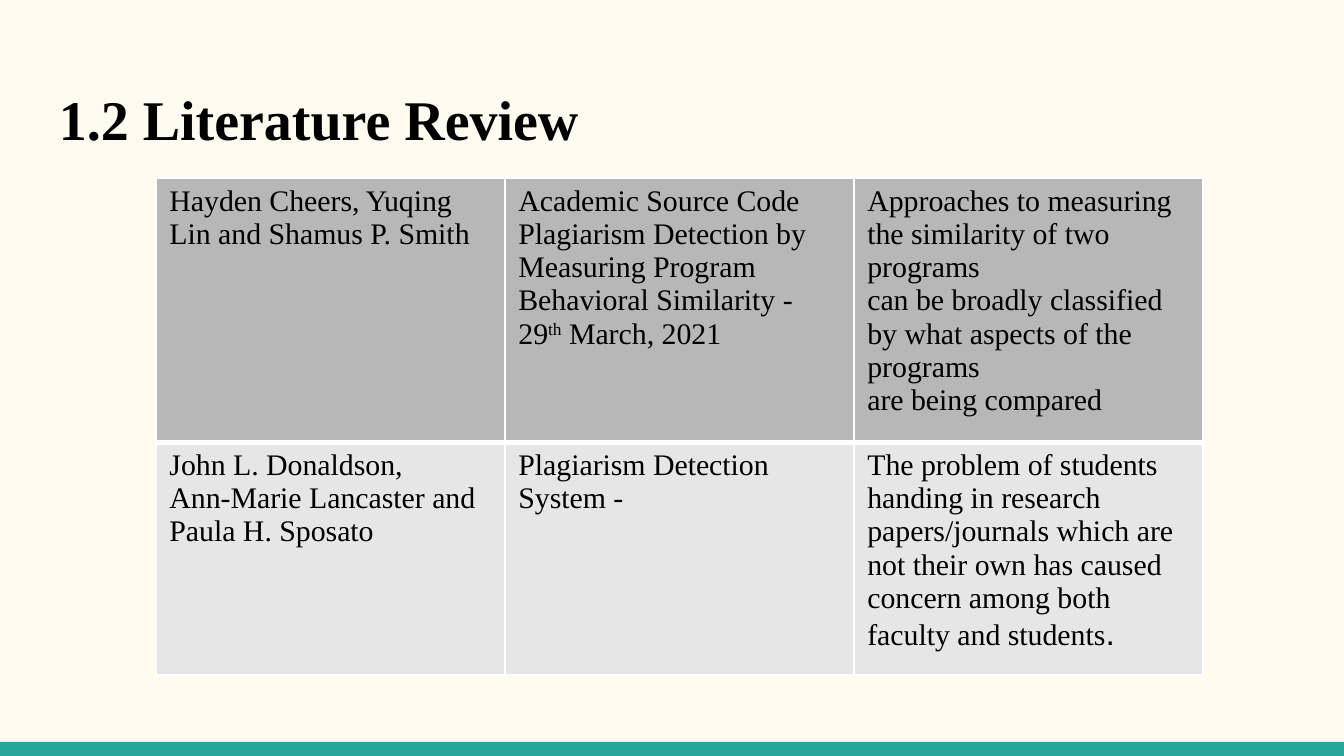
"""Build the literature review slide."""
from lxml.etree import SubElement
from pptx import Presentation
from pptx.dml.color import RGBColor
from pptx.enum.shapes import MSO_SHAPE
from pptx.oxml.ns import qn
from pptx.util import Pt

COLORS = {"page": "FFFBF0", "accent": "26A69A", "ink": "000000",
          "border": "FFFFFF", "upper": "B7B7B7", "lower": "E6E6E6"}
SERIF = "Times New Roman"


def px(*lengths):
    return [round(length * 914400 / 134.4) for length in lengths]


def add_text(paragraph, text, **changes):
    run = paragraph.add_run()
    run.text = text
    look = {"size": Pt(16), "name": SERIF, "bold": False} | changes
    for attribute, value in look.items():
        setattr(run.font, attribute, value)
    run.font.color.rgb = RGBColor.from_string(COLORS["ink"])
    return run


prs = Presentation()
prs.slide_width, prs.slide_height = px(1344, 756)
slide = prs.slides.add_slide(prs.slide_layouts[6])
slide.background.fill.solid()
slide.background.fill.fore_color.rgb = RGBColor.from_string(COLORS["page"])

footer = slide.shapes.add_shape(MSO_SHAPE.RECTANGLE, *px(0, 742, 1344, 14))
footer.shadow.inherit = False
footer.fill.solid()
footer.fill.fore_color.rgb = RGBColor.from_string(COLORS["accent"])
footer.line.fill.background()

heading = slide.shapes.add_textbox(*px(46, 66, 1252, 90)).text_frame
margins = dict(zip(("margin_left", "margin_top", "margin_right", "margin_bottom"),
                   px(13, 19, 13, 13)))
for attribute, value in ({"word_wrap": True} | margins).items():
    setattr(heading, attribute, value)
add_text(heading.paragraphs[0], "1.2 Literature Review", size=Pt(30), bold=True)

reviews = [
    [
        ["Hayden Cheers, Yuqing Lin and Shamus P. Smith"],
        ["Academic Source Code Plagiarism Detection by",
         "Measuring Program Behavioral Similarity - 29|th| March, 2021"],
        ["Approaches to measuring the similarity of two programs",
         "can be broadly classified by what aspects of the programs",
         "are being compared"],
    ],
    [
        ["John L. Donaldson,", "Ann-Marie Lancaster and Paula H. Sposato"],
        ["Plagiarism Detection System -"],
        ["The problem of students handing in research papers/journals which are "
         "not their own has caused concern among both faculty and students"],
    ],
]
row_formats = [
    {"height": 245, "fill": "upper", "borders": {"L": 1, "R": 1, "T": 1, "B": 3}},
    {"height": 217, "fill": "lower", "borders": {"L": 1, "R": 1, "T": 3, "B": 1}},
]

literature = slide.shapes.add_table(2, 3, *px(156, 178, 1047, 462)).table
for attribute, value in {"first_row": False, "horz_banding": False}.items():
    setattr(literature, attribute, value)
for column in literature.columns:
    column.width = px(349)[0]

for row, review, row_format in zip(literature.rows, reviews, row_formats):
    row.height = px(row_format["height"])[0]
    for cell, lines in zip(row.cells, review):
        for number, line in enumerate(lines):
            frame = cell.text_frame
            paragraph = frame.add_paragraph() if number else frame.paragraphs[0]
            for part, text in enumerate(line.split("|")):
                run = add_text(paragraph, text)
                if part == 1:
                    run.font._element.set("baseline", "30000")
        properties = cell._tc.get_or_add_tcPr()
        for side, width in row_format["borders"].items():
            border = SubElement(properties, qn(f"a:ln{side}"), w=str(Pt(width)))
            SubElement(SubElement(border, qn("a:solidFill")), qn("a:srgbClr"),
                       val=COLORS["border"])
        cell.fill.solid()
        cell.fill.fore_color.rgb = RGBColor.from_string(COLORS[row_format["fill"]])

closing = literature.cell(1, 2).text_frame.paragraphs[0]
add_text(closing, ".", size=Pt(18), name="Arial")

prs.save("out.pptx")
